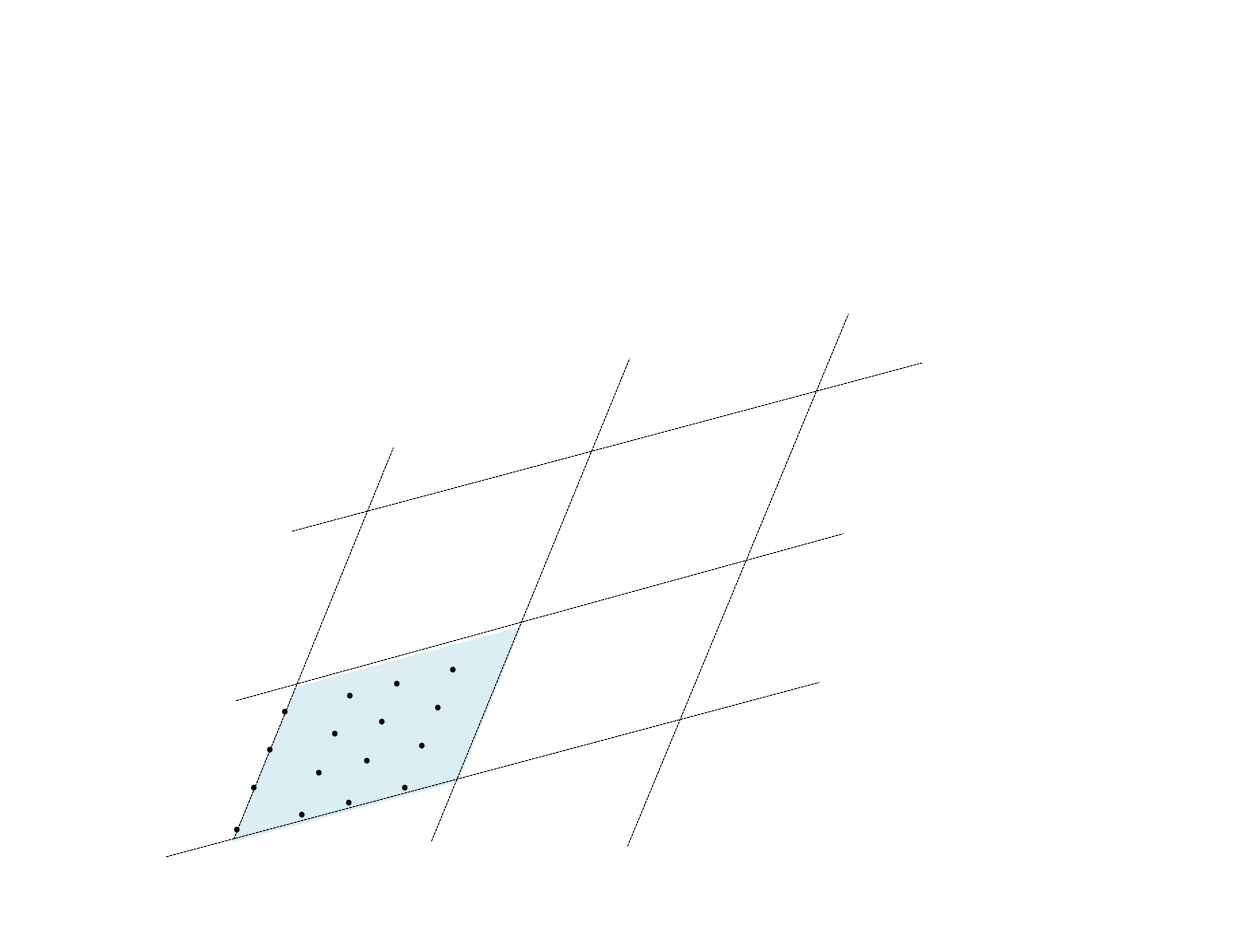
"""Draw a skewed lattice with one shaded cell full of dots."""
import pptx
import pptx.dml.color
import pptx.enum.dml
import pptx.enum.shapes
import pptx.enum.text
import pptx.util
import lxml.etree

Pt = pptx.util.Pt
BLACK = pptx.dml.color.RGBColor(0x00, 0x00, 0x00)
BLUE = pptx.dml.color.RGBColor(0xDB, 0xEE, 0xF4)
FONT = "Noto Sans CJK JP"
SPACE = "http://schemas.openxmlformats.org/drawingml/2006/main"

deck = pptx.Presentation()
deck.slide_width, deck.slide_height = Pt(360), Pt(270)
slide = deck.slides.add_slide(deck.slide_layouts[6])

cell = slide.shapes.add_shape(
    pptx.enum.shapes.MSO_SHAPE.PARALLELOGRAM,
    Pt(59.76), Pt(190.8), Pt(95.76), Pt(38.16))
cell.adjustments[0] = 0.756
cell.rotation = 345
cell.shadow.inherit = False
cell.fill.solid()
cell.fill.fore_color.rgb = BLUE
cell.line.fill.background()

lines = [
    (47.5, 244.8, 234, 195),
    (67.5, 200.2, 241, 152.5),
    (83.5, 151.8, 263.5, 103.7),
    (66.8, 239.8, 112.4, 127.9),
    (123.3, 240.4, 179.9, 102.5),
    (179.3, 241.8, 242.4, 89.8),
]
for ends in lines:
    line = slide.shapes.add_connector(
        pptx.enum.shapes.MSO_CONNECTOR.STRAIGHT, *[Pt(end) for end in ends])
    line.line.color.rgb = BLACK
    line.line.width = Pt(0.25)
    line.line.dash_style = pptx.enum.dml.MSO_LINE.SQUARE_DOT
    lxml.etree.SubElement(line.element.spPr, f"{{{SPACE}}}effectLst")

rows = [(72.7, 188.6), (68.4, 199.4), (63.9, 210.4), (59, 222.4)]
steps = [(0, 0, 20.9), (18.7, -4.4, 22.3), (32.2, -7.9, 20.9), (48, -12, 22.3)]
for left, top in rows:
    group = slide.shapes.add_group_shape()
    for right, down, width in steps:
        box = group.shapes.add_textbox(
            Pt(left + right), Pt(top + down), Pt(width), Pt(21.6))
        frame = box.text_frame
        frame.word_wrap = True
        frame.auto_size = pptx.enum.text.MSO_AUTO_SIZE.SHAPE_TO_FIT_TEXT
        dot = frame.paragraphs[0]
        dot.text = "."
        dot.font.name = FONT
        dot.font.size = Pt(12)
        dot.font.color.rgb = BLACK

deck.save("out.pptx")
